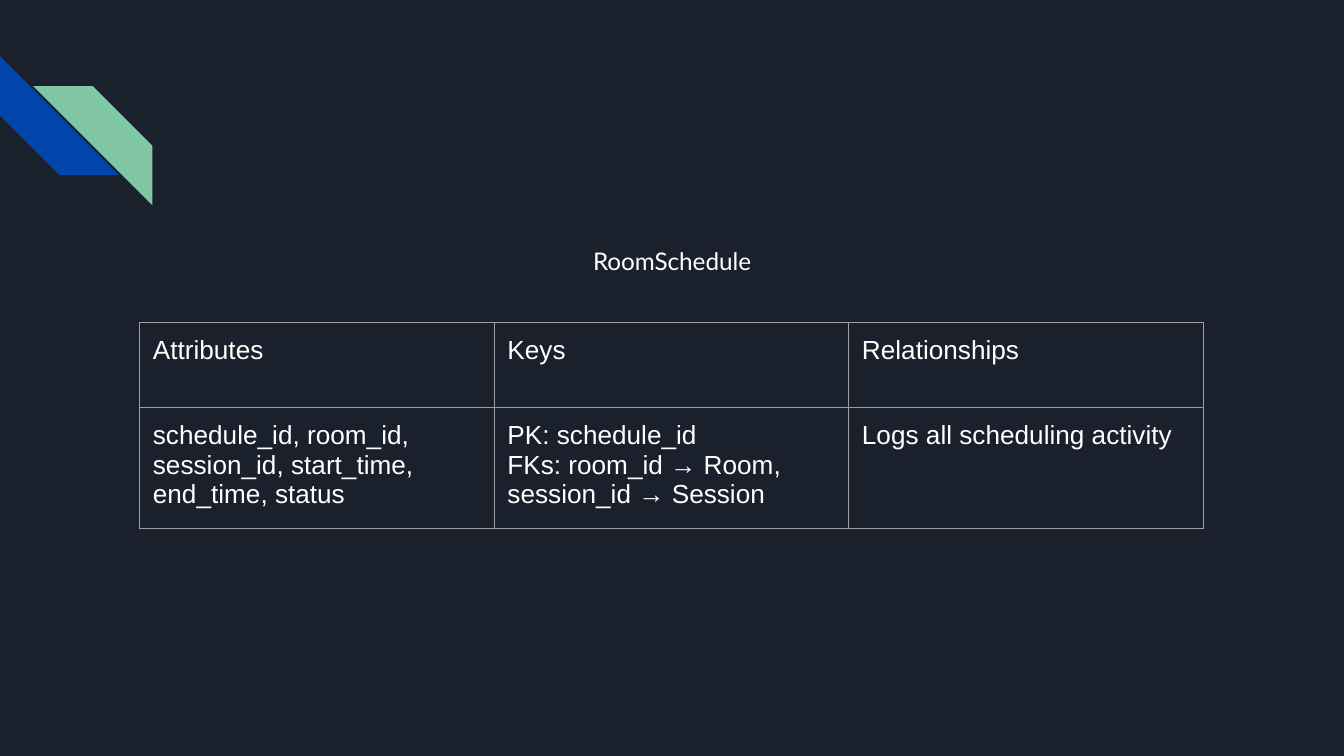
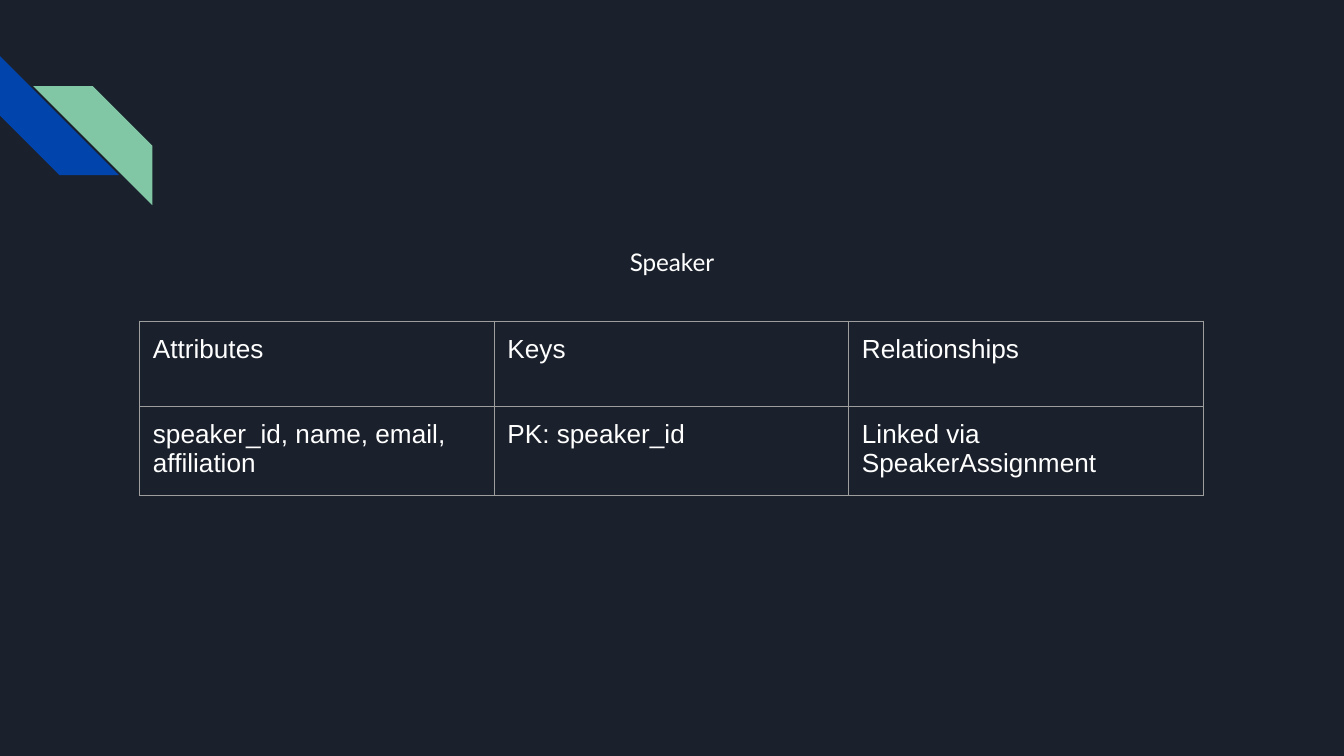
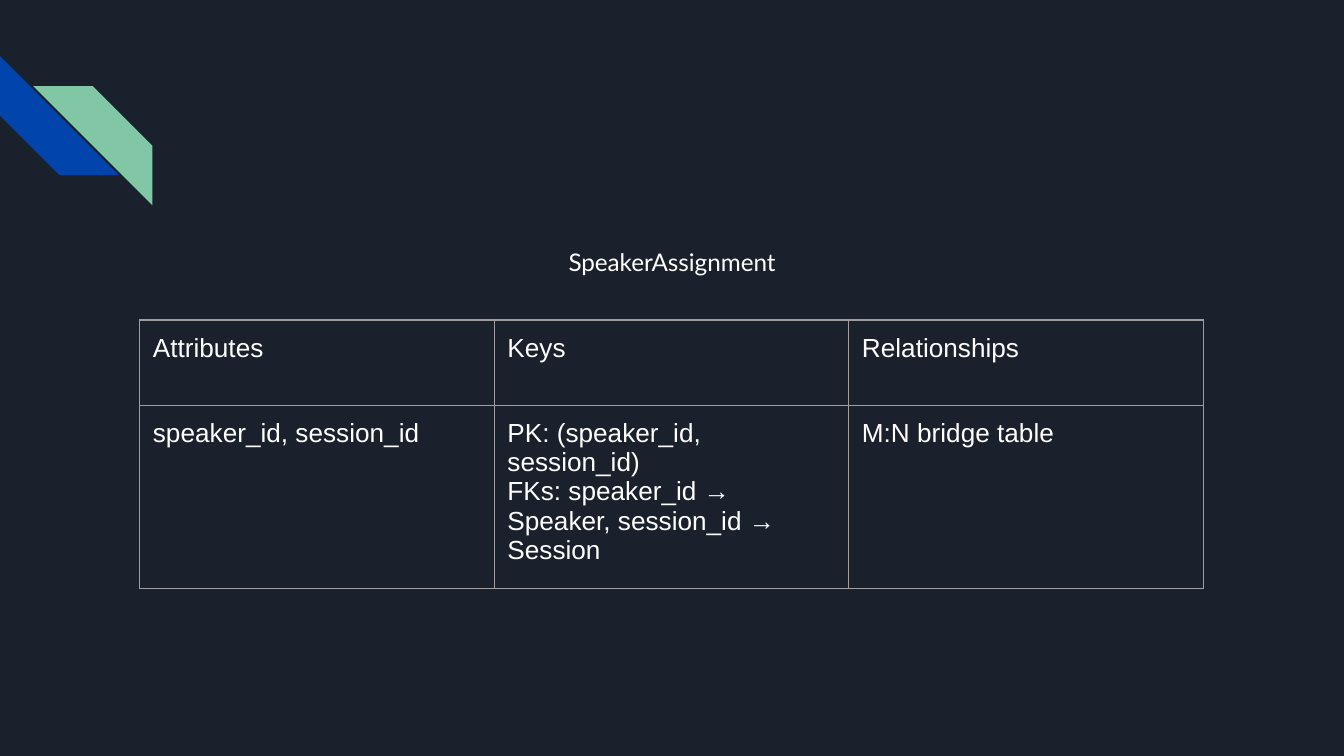
from lxml import etree
from pptx import Presentation
from pptx import util as u
from pptx.dml.color import RGBColor
from pptx.enum import shapes, text
from pptx.oxml.ns import qn

# Shared look
BACKGROUND, BLUE, GREEN = "1B212C", "0145AC", "82C7A5"
WHITE, GRID = "FFFFFF", "9E9E9E"
INSET = u.Cm(0.25)
STRIPE_SIZE = u.Cm(2.25)
COLUMN_WIDTH = u.Cm(6.7)
HEADER_HEIGHT, BODY_HEIGHT = u.Cm(1.61), u.Cm(1.06)
HEADINGS = ["Attributes", "Keys", "Relationships"]

# Entity name, its top, table top (cm), and the table's body row
ENTITIES = [
    ("RoomSchedule", 4.32, 6.1, [
        "schedule_id, room_id, session_id, start_time, end_time, status",
        "PK: schedule_id\nFKs: room_id → Room, session_id → Session",
        "Logs all scheduling activity",
    ]),
    ("Speaker", 4.35, 6.07, [
        "speaker_id, name, email, affiliation",
        "PK: speaker_id",
        "Linked via SpeakerAssignment",
    ]),
    ("SpeakerAssignment", 4.35, 6.05, [
        "speaker_id, session_id",
        "PK: (speaker_id, session_id)\nFKs: speaker_id → Speaker, session_id → Session",
        "M:N bridge table",
    ]),
]


def paint(target, colour):
    """Fill a background or shape with a hex colour."""
    target.fill.solid()
    target.fill.fore_color.rgb = RGBColor.from_string(colour)


def write(frame, content, font="Arial", size=14, colour=WHITE,
          align=None, line_spacing=None, space_after=None):
    """Write one paragraph per line of content."""
    frame.word_wrap = True
    for index, line in enumerate(content.split("\n")):
        para = frame.add_paragraph() if index else frame.paragraphs[0]
        para.alignment = align
        para.line_spacing = line_spacing
        para.space_after = space_after
        span = para.add_run()
        span.text = line
        span.font.name = font
        span.font.size = u.Pt(size)
        span.font.color.rgb = RGBColor.from_string(colour)


def add_stripe(page, left, top, colour, rotation=0, mirrored=False):
    stripe = page.shapes.add_shape(shapes.MSO_SHAPE.DIAGONAL_STRIPE, u.Cm(left),
                                   u.Cm(top), STRIPE_SIZE, STRIPE_SIZE)
    stripe.shadow.inherit = False
    paint(stripe, colour)
    stripe.line.fill.background()
    stripe.rotation = rotation
    if mirrored:
        stripe.element.spPr.find(qn("a:xfrm")).set("flipH", "1")


def add_title(page, content, top):
    box = page.shapes.add_textbox(u.Cm(2.92), u.Cm(top), u.Cm(19.56), u.Cm(8.08))
    frame = box.text_frame
    frame.margin_left = frame.margin_right = INSET
    frame.margin_top = frame.margin_bottom = INSET
    write(frame, content, font="Lato", size=13, align=text.PP_ALIGN.CENTER,
          line_spacing=1.15, space_after=u.Pt(12))


def add_borders(cell, colour, width):
    properties = cell._tc.get_or_add_tcPr()
    for side in ("lnL", "lnR", "lnT", "lnB"):
        line = etree.SubElement(properties, qn("a:" + side), w=str(u.Pt(width)))
        fill = etree.SubElement(line, qn("a:solidFill"))
        etree.SubElement(fill, qn("a:srgbClr"), val=colour)


def add_grid(page, rows, top):
    grid = page.shapes.add_table(
        len(rows), len(HEADINGS), u.Cm(2.64), u.Cm(top),
        COLUMN_WIDTH * len(HEADINGS), HEADER_HEIGHT + BODY_HEIGHT).table
    grid.first_row = grid.horz_banding = False
    for column in grid.columns:
        column.width = COLUMN_WIDTH
    for row, height, contents in zip(grid.rows, (HEADER_HEIGHT, BODY_HEIGHT), rows):
        row.height = height
        for cell, content in zip(row.cells, contents):
            cell.margin_left = cell.margin_right = INSET
            cell.margin_top = cell.margin_bottom = INSET
            add_borders(cell, GRID, 0.75)
            cell.fill.background()
            write(cell.text_frame, content)


def add_entity(deck, name, title_top, grid_top, details):
    page = deck.slides.add_slide(deck.slide_layouts[6])
    paint(page.background, BACKGROUND)
    add_stripe(page, 0, 1.06, BLUE, rotation=270)
    add_stripe(page, 0.63, 1.63, GREEN, mirrored=True)
    add_title(page, name, title_top)
    add_grid(page, [HEADINGS, details], grid_top)


def main():
    deck = Presentation()
    deck.slide_width, deck.slide_height = u.Cm(25.4), u.Cm(14.29)
    for entity in ENTITIES:
        add_entity(deck, *entity)
    deck.save("out.pptx")


if __name__ == "__main__":
    main()
